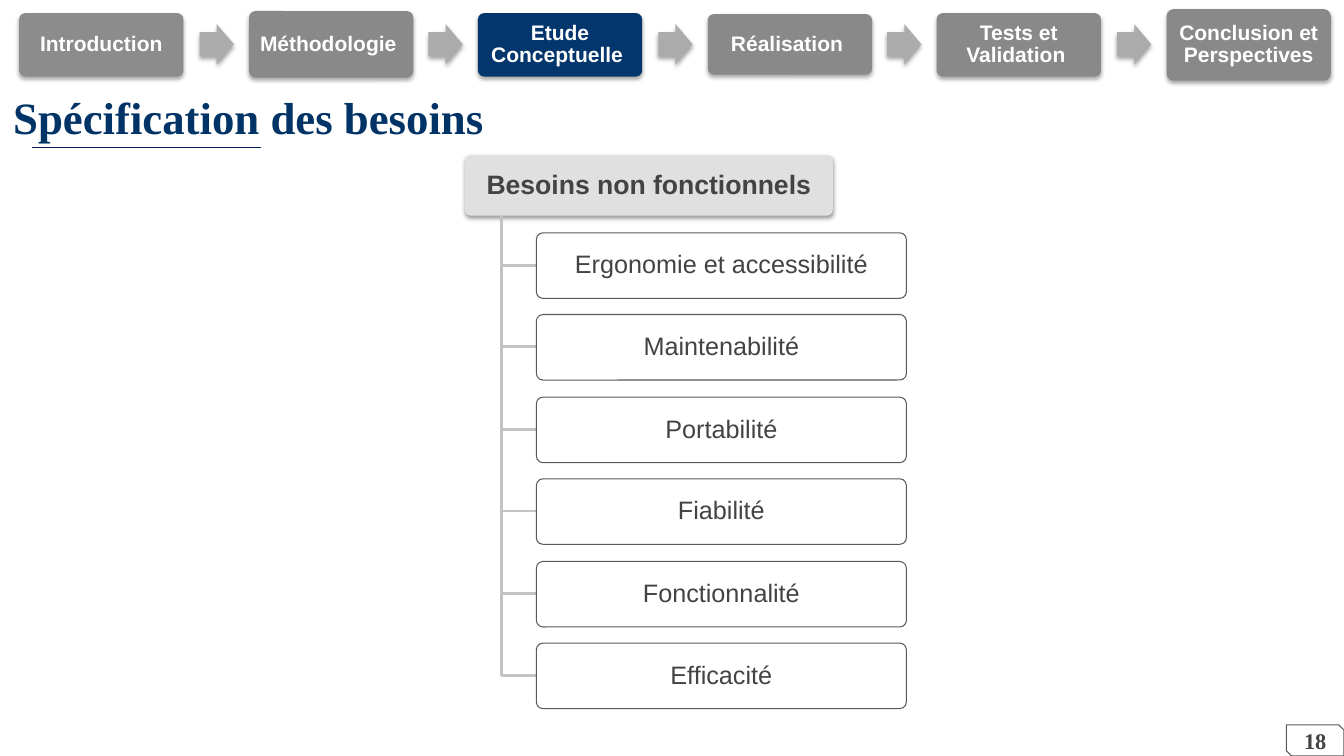
import dataclasses

import pptx
import pptx.dml.color
import pptx.enum.shapes
import pptx.enum.text
import pptx.oxml.ns
import pptx.util
from lxml import etree

SHAPE = pptx.enum.shapes.MSO_SHAPE
ALIGN = pptx.enum.text.PP_ALIGN
qn = pptx.oxml.ns.qn


@dataclasses.dataclass(frozen=True)
class Theme:
    sans: str = "Arial"
    serif: str = "Times New Roman"
    white: str = "FFFFFF"
    ink: str = "434343"
    outline: str = "595959"
    title: str = "003366"
    underline: str = "002060"
    step: str = "898989"
    first_step: str = "8C8C8C"
    active_step: str = "02366C"
    arrow: str = "ABABAB"
    root: str = "E0E0E0"
    branch: str = "C3C3C3"
    title_size: int = 32
    root_size: int = 19
    need_size: int = 18
    number_size: int = 16
    step_size: int = 15
    thin: float = 0.75
    thick: float = 2


class Page:
    """Draws on one slide; lengths are px, 100 to the inch."""
    SCALE = 9144

    def __init__(self, deck, theme):
        self.theme = theme
        deck.slide_width, deck.slide_height = self.emu(1333, 750)
        self.slide = deck.slides.add_slide(deck.slide_layouts[5])
        self.shapes = self.slide.shapes

    def emu(self, *lengths):
        return [pptx.util.Emu(length * self.SCALE) for length in lengths]

    def color(self, code):
        return pptx.dml.color.RGBColor.from_string(code)

    def stroke(self, line, color, width):
        line.color.rgb = self.color(color)
        line.width = pptx.util.Pt(width)

    def label(self, box, text, size, color, font, bold=True,
              align=ALIGN.CENTER, inset=(13, 13), spacing=1.0):
        frame = box.text_frame
        frame.word_wrap = True
        frame.auto_size = pptx.enum.text.MSO_AUTO_SIZE.NONE
        frame.vertical_anchor = pptx.enum.text.MSO_ANCHOR.MIDDLE
        across, down = self.emu(*inset)
        frame.margin_left = frame.margin_right = across
        frame.margin_top = frame.margin_bottom = down
        para = frame.paragraphs[0]
        para.text = text
        para.alignment = align
        para.line_spacing = spacing
        para.font.name = font
        para.font.size = pptx.util.Pt(size)
        para.font.bold = bold
        para.font.color.rgb = self.color(color)

    def shape(self, kind, place, adjust, fill=None, line=None, alpha=None):
        box = self.shapes.add_shape(kind, *self.emu(*place))
        box.shadow.inherit = False
        for index, value in enumerate(adjust):
            box.adjustments[index] = value
        if fill:
            box.fill.solid()
            box.fill.fore_color.rgb = self.color(fill)
        else:
            box.fill.background()
        if alpha:
            paint = box.element.spPr.find(qn("a:solidFill"))[0]
            etree.SubElement(paint, qn("a:alpha"), val=str(alpha * 1000))
        if line:
            self.stroke(box.line, line, self.theme.thin)
        else:
            box.line.fill.background()
        return box

    def cast_shadow(self, box, alpha, distance):
        effects = box.element.spPr.find(qn("a:effectLst"))
        shadow = etree.SubElement(
            effects, qn("a:outerShdw"), blurRad="40000", dist=str(distance),
            dir="5400000", rotWithShape="0")
        paint = etree.SubElement(shadow, qn("a:srgbClr"), val="000000")
        etree.SubElement(paint, qn("a:alpha"), val=str(alpha * 1000))

    def title(self, text, place):
        box = self.shapes.title
        box.left, box.top, box.width, box.height = self.emu(*place)
        self.label(box, text, self.theme.title_size, self.theme.title,
                   self.theme.serif, align=ALIGN.LEFT)

    def rule(self, start, end):
        line = self.shapes.add_connector(
            pptx.enum.shapes.MSO_CONNECTOR.STRAIGHT, *self.emu(*start, *end))
        self.stroke(line.line, self.theme.underline, self.theme.thin)
        etree.SubElement(line.element.spPr, qn("a:effectLst"))

    def elbow(self, start, end):
        builder = self.shapes.build_freeform(*start, scale=self.SCALE)
        builder.add_line_segments([(start[0], end[1]), end], close=False)
        branch = builder.convert_to_shape()
        branch.shadow.inherit = False
        branch.fill.background()
        self.stroke(branch.line, self.theme.branch, self.theme.thick)

    def step(self, text, place, fill):
        box = self.shape(SHAPE.ROUNDED_RECTANGLE, place, [0.1], fill)
        self.cast_shadow(box, 35, 23000)
        self.label(box, text, self.theme.step_size, self.theme.white,
                   self.theme.sans, inset=(6, 6), spacing=0.9)

    def arrow(self, place):
        box = self.shape(SHAPE.RIGHT_ARROW, place, [0.6, 0.5], self.theme.arrow)
        self.cast_shadow(box, 35, 23000)

    def root(self, text, place):
        box = self.shape(SHAPE.ROUNDED_RECTANGLE, place, [0.1], self.theme.root)
        self.cast_shadow(box, 38, 20000)
        self.label(box, text, self.theme.root_size, self.theme.ink,
                   self.theme.sans, inset=(4, 3), spacing=0.9)

    def need(self, text, place):
        box = self.shape(SHAPE.ROUNDED_RECTANGLE, place, [0.1],
                         self.theme.white, self.theme.outline, alpha=90)
        self.label(box, text, self.theme.need_size, self.theme.ink,
                   self.theme.sans, bold=False, inset=(4, 3), spacing=0.9)

    def number(self, text, place):
        box = self.shape(SHAPE.SNIP_2_DIAG_RECTANGLE, place, [0, 0.167],
                         line=self.theme.outline)
        self.label(box, text, self.theme.number_size, self.theme.ink,
                   self.theme.serif)


def main():
    deck = pptx.Presentation()
    theme = Theme()
    page = Page(deck, theme)

    # Page number, title and its underline
    page.number("18", (1276, 719, 57, 31))
    page.title("Spécification des besoins", (0, 77, 573, 77))
    page.rule((32, 146), (259, 146))

    # Tree of non-functional needs
    page.root("Besoins non fonctionnels", (461, 154, 365, 60))
    needs = ["Ergonomie et accessibilité", "Maintenabilité", "Portabilité",
             "Fiabilité", "Fonctionnalité", "Efficacité"]
    for index, text in enumerate(needs):
        top = round(231 + 81.4 * index)
        page.elbow((497, 214), (532, top + 32))
        page.need(text, (532, top, 367, 65))

    # Progress bar across the top, centred on one line
    steps = [("Introduction", 63, theme.first_step),
             ("Méthodologie ", 66, theme.step),
             ("Etude Conceptuelle ", 63, theme.active_step),
             ("Réalisation ", 60, theme.step),
             ("Tests et Validation ", 63, theme.step),
             ("Conclusion et Perspectives", 71, theme.step)]
    for index, (text, height, fill) in enumerate(steps):
        left = round(19 + 227.6 * index)
        if index:
            page.arrow((left - 49, 24, 34, 40))
        page.step(text, (left, 44 - height // 2, 163, height), fill)

    deck.save("out.pptx")


if __name__ == "__main__":
    main()
